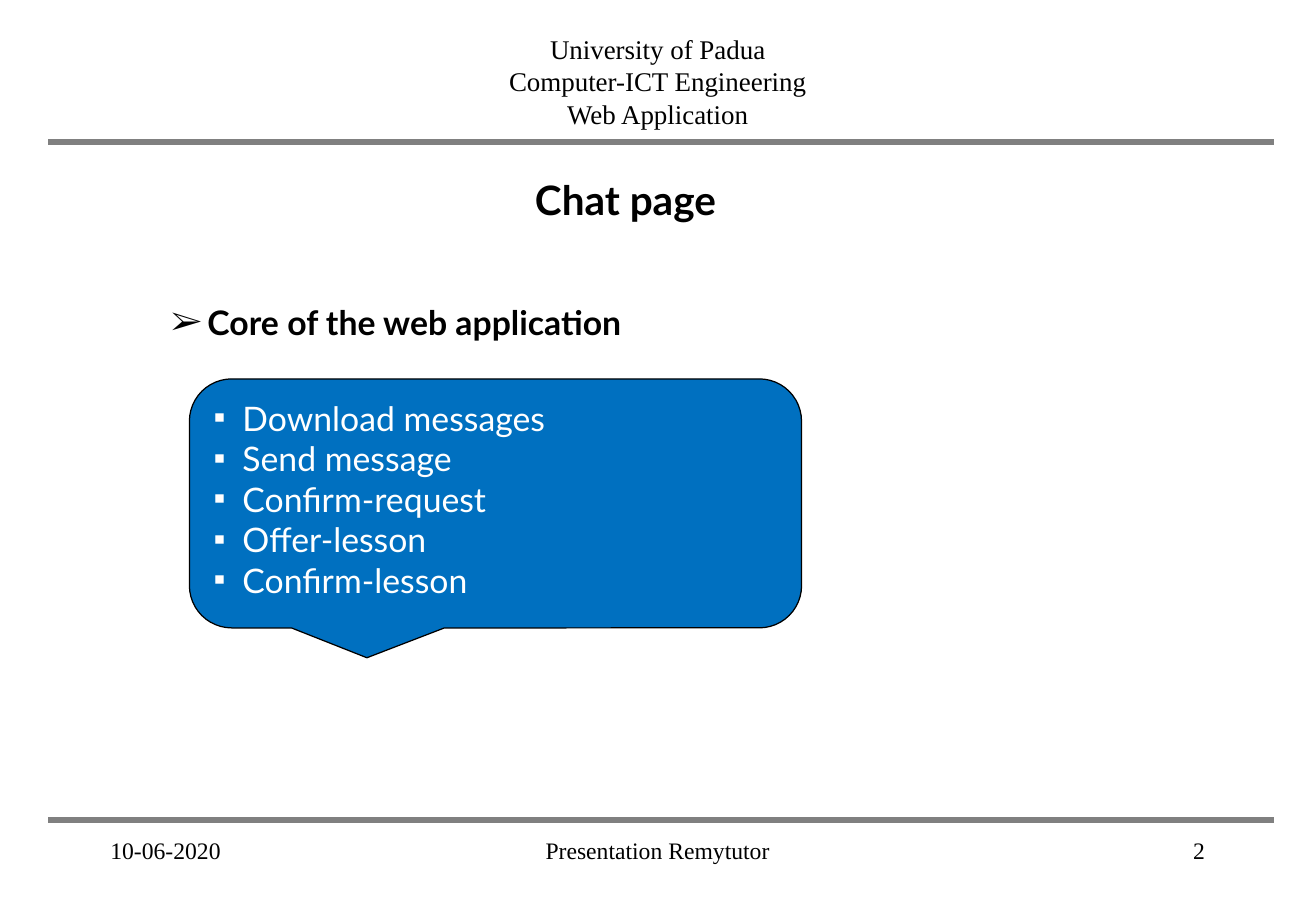
import pptx
import pptx.dml.color
import pptx.enum.shapes
import pptx.enum.text
import pptx.oxml.ns
import pptx.util
from lxml import etree

Pt = pptx.util.Pt
qn = pptx.oxml.ns.qn
ALIGN = pptx.enum.text.PP_ALIGN
SERIF = "Times New Roman"
SANS = "Lato"
COLORS = {"text": "000000", "rule": "808080", "callout": "0070C0", "light": "FFFFFF"}

MARGIN = 58.3
CONTENT_WIDTH = 663.1
FOOTER_TOP = 491.8


def color(name):
    return pptx.dml.color.RGBColor.from_string(COLORS[name])


def add_bullet(paragraph, character, color_name, left, hanging):
    properties = paragraph._p.get_or_add_pPr()
    properties.set("marL", str(Pt(left)))
    properties.set("indent", str(-Pt(hanging)))
    bullet_color = etree.SubElement(properties, qn("a:buClr"))
    etree.SubElement(bullet_color, qn("a:srgbClr"), val=COLORS[color_name])
    etree.SubElement(properties, qn("a:buFont"), typeface=SERIF)
    etree.SubElement(properties, qn("a:buChar"), char=character)


def write_lines(shape, lines, size, font, color_name="text", bold=False,
                align=ALIGN.LEFT, spacing=None, bullet=None):
    """bullet is (character, left indent, hanging indent)."""
    frame = shape.text_frame
    frame.vertical_anchor = pptx.enum.text.MSO_ANCHOR.TOP
    for index, line in enumerate(lines):
        paragraph = frame.add_paragraph() if index else frame.paragraphs[0]
        if bullet:
            character, left, hanging = bullet
            add_bullet(paragraph, character, color_name, left, hanging)
        paragraph.alignment = align
        paragraph.line_spacing = spacing
        run = paragraph.add_run()
        run.text = line
        run.font.size = Pt(size)
        run.font.name = font
        run.font.bold = bold
        run.font.color.rgb = color(color_name)


def add_text(slide, box, lines, size, font, wrap=True, **style):
    shape = slide.shapes.add_textbox(*map(Pt, box))
    shape.text_frame.word_wrap = wrap
    write_lines(shape, lines, size, font, **style)


def add_rule(slide, top):
    rule = slide.shapes.add_connector(
        pptx.enum.shapes.MSO_CONNECTOR.STRAIGHT, Pt(30.2), Pt(top), Pt(753.1), Pt(top))
    rule.line.color.rgb = color("rule")
    rule.line.width = Pt(4)
    rule.line._get_or_add_ln().set("cap", "sq")
    etree.SubElement(rule._element.spPr, qn("a:effectLst"))


def add_callout(slide, box, lines):
    shape = slide.shapes.add_shape(
        pptx.enum.shapes.MSO_SHAPE.ROUNDED_RECTANGULAR_CALLOUT, *map(Pt, box))
    for index, value in enumerate((-0.21, 0.62, 0.17)):
        shape.adjustments[index] = value
    shape.shadow.inherit = False
    shape.fill.solid()
    shape.fill.fore_color.rgb = color("callout")
    shape.line.color.rgb = color("text")
    shape.line.width = Pt(0.75)
    shape.text_frame.word_wrap = True
    write_lines(shape, lines, 20, SANS, "light", bullet=("▪", 17, 17))


def main():
    presentation = pptx.Presentation()
    presentation.slide_width = Pt(780.13)
    presentation.slide_height = Pt(540)
    slide = presentation.slides.add_slide(presentation.slide_layouts[6])

    # Footer
    footer = [
        ("10-06-2020", MARGIN, 162.7, ALIGN.LEFT),
        ("Presentation Remytutor", 266.4, 247, ALIGN.CENTER),
        ("2", 558.7, 162.7, ALIGN.RIGHT),
    ]
    for text, left, width, align in footer:
        add_text(slide, (left, FOOTER_TOP, width, 36), [text], 14, SERIF, align=align)

    # Rules under the header and above the footer
    for top in (84.2, 486):
        add_rule(slide, top)

    # Header
    add_text(slide, (294.5, 15.8, 190.8, 64.8),
             ["University of Padua", "Computer-ICT Engineering", "Web Application"],
             16, SERIF, wrap=False, align=ALIGN.CENTER, spacing=Pt(19.2))

    # Topic and title
    add_text(slide, (MARGIN, 151.2, CONTENT_WIDTH, 316.8), ["Core of the web application"],
             20, SANS, bold=True, spacing=2.0, bullet=("➢", 57.6, 21.6))
    add_text(slide, (288, 100.1, 165.6, 36), ["Chat page"],
             24, SANS, bold=True, align=ALIGN.CENTER)

    # Chat functions
    add_callout(slide, (112.3, 224.6, 362.9, 147.6),
                ["Download messages", "Send message", "Confirm-request",
                 "Offer-lesson", "Confirm-lesson"])

    presentation.save("out.pptx")


if __name__ == "__main__":
    main()
